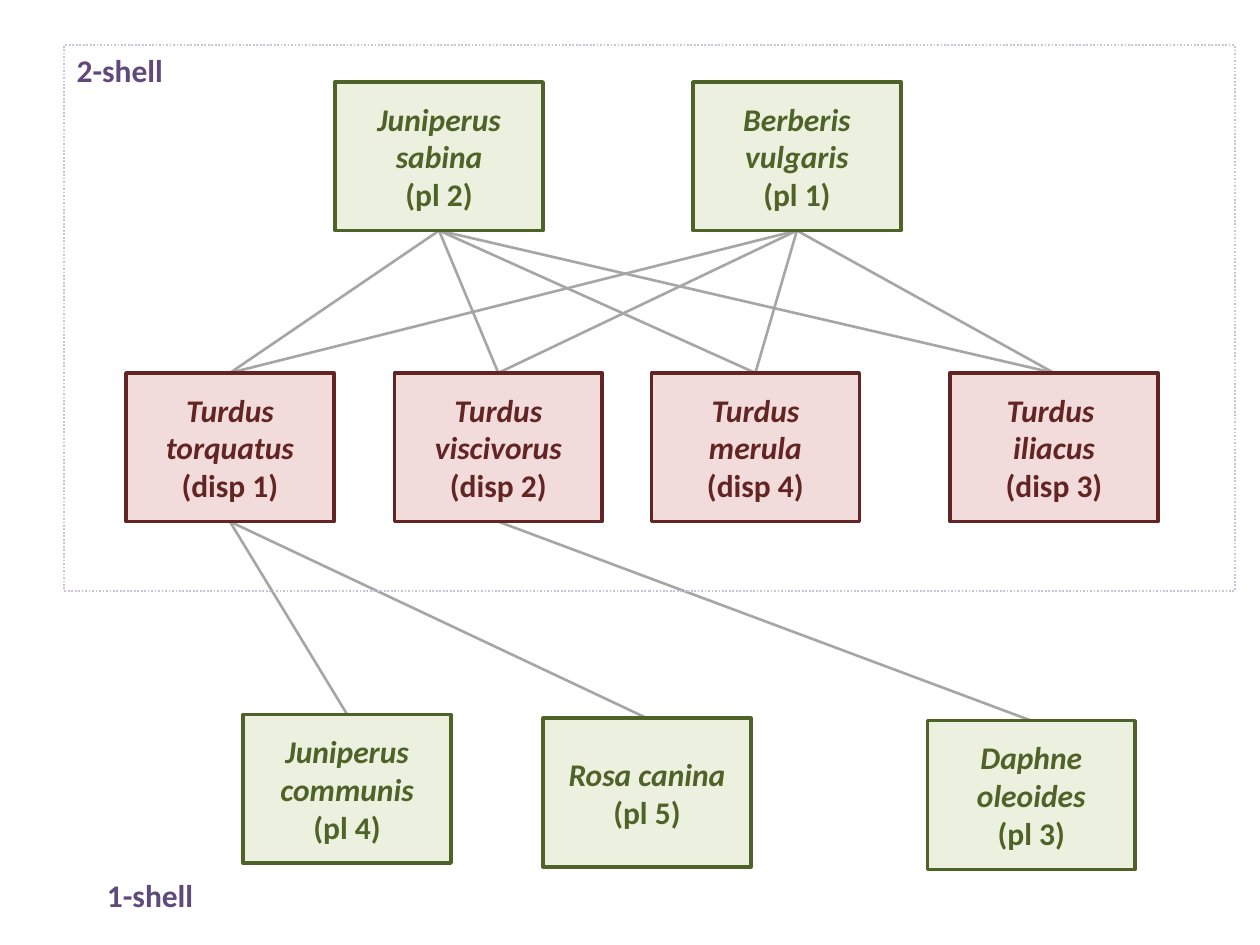
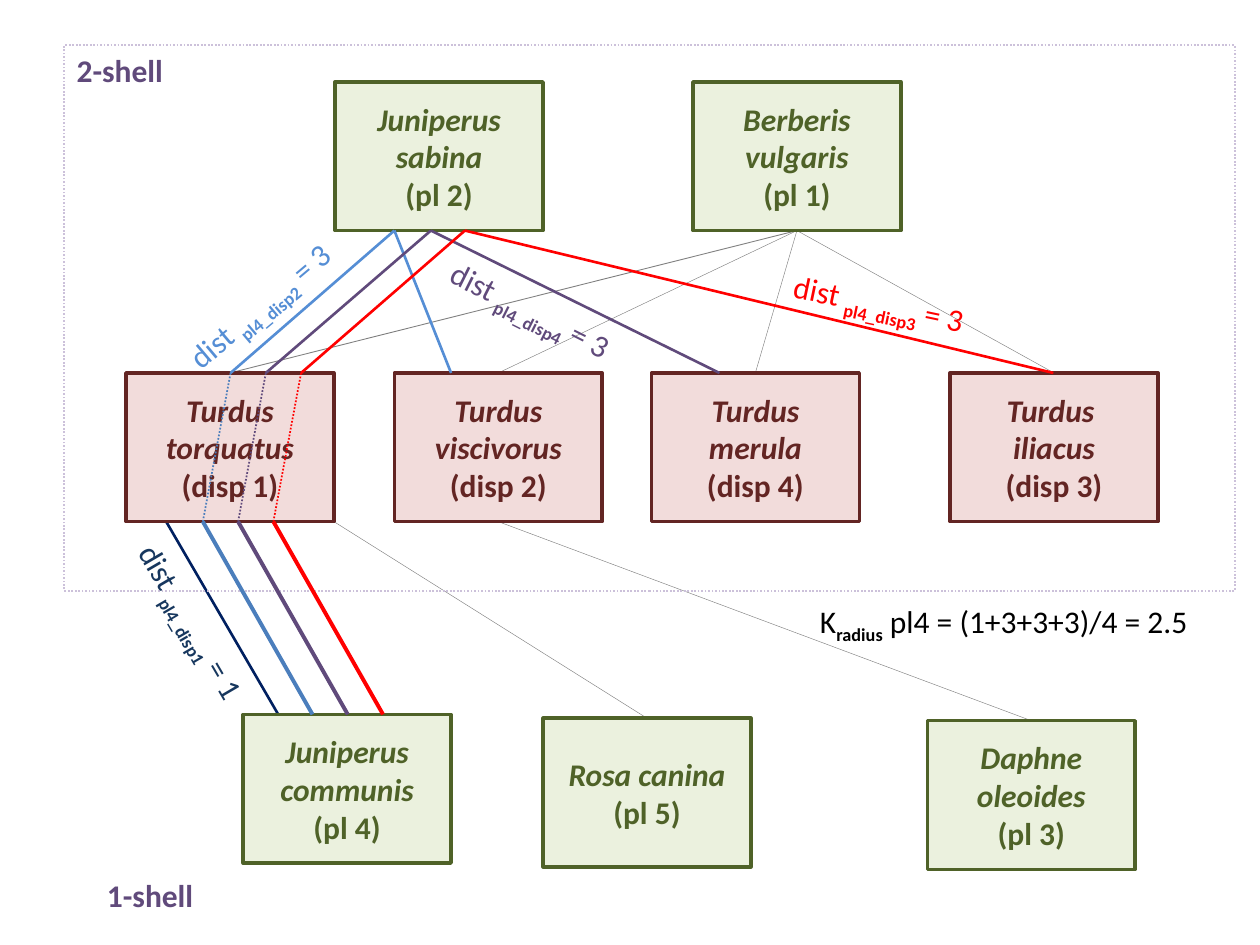
"""Two slides on a plant-disperser network: its shells, then its k-radius."""
from lxml import etree
from pptx import Presentation
from pptx.dml.color import RGBColor
from pptx.enum.dml import MSO_LINE
from pptx.enum.shapes import MSO_CONNECTOR, MSO_SHAPE
from pptx.enum.text import MSO_ANCHOR, MSO_AUTO_SIZE, PP_ALIGN
from pptx.oxml.ns import qn
from pptx.util import Inches, Pt

RECTANGLE = MSO_SHAPE.RECTANGLE
STRAIGHT = MSO_CONNECTOR.STRAIGHT
DOTTED = MSO_LINE.ROUND_DOT
CENTER, MIDDLE = PP_ALIGN.CENTER, MSO_ANCHOR.MIDDLE
FIT_SHAPE = MSO_AUTO_SIZE.SHAPE_TO_FIT_TEXT

PLANT_FILL, PLANT_INK = RGBColor(0xEB, 0xF1, 0xDE), RGBColor(0x4F, 0x62, 0x28)
BIRD_FILL, BIRD_INK = RGBColor(0xF2, 0xDC, 0xDB), RGBColor(0x63, 0x25, 0x23)
SHELL_LINE = RGBColor(0xCC, 0xC1, 0xDA)
PURPLE = RGBColor(0x60, 0x4A, 0x7B)
LINK_GREY = RGBColor(0xA6, 0xA6, 0xA6)
FAINT_GREY = RGBColor(0x80, 0x80, 0x80)
NAVY = RGBColor(0x00, 0x20, 0x60)
NAVY_TEXT = RGBColor(0x17, 0x37, 0x5E)
BLUE, STEEL = RGBColor(0x55, 0x8E, 0xD5), RGBColor(0x4B, 0x7E, 0xBC)
RED = RGBColor(0xFF, 0, 0)
BLACK = RGBColor(0, 0, 0)

FONT, SIZE = "Calibri", Pt(18)
BOX_W, BOX_H = 1.65, 1.18
UPPER, MIDDLE_ROW, LOWER = 0.65, 2.96, 5.67  # tops of the three rows
UPPER_END, MIDDLE_END = UPPER + BOX_H, MIDDLE_ROW + BOX_H
LABEL_H = 0.4

# code: (left, top, lines of the name); \v is a line break
SPECIES = {
    "pl 2": (2.66, UPPER, ("Juniperus", "sabina")),
    "pl 1": (5.5, UPPER, ("Berberis vulgaris",)),
    "disp 1": (1, MIDDLE_ROW, ("Turdus torquatus",)),
    "disp 2": (3.13, MIDDLE_ROW, ("Turdus viscivorus",)),
    "disp 4": (5.17, MIDDLE_ROW, ("Turdus merula",)),
    "disp 3": (7.54, MIDDLE_ROW, ("Turdus \viliacus",)),
    "pl 4": (1.93, LOWER, ("Juniperus communis",)),
    "pl 5": (4.31, LOWER + 0.03, ("Rosa canina",)),
    "pl 3": (7.36, LOWER + 0.05, ("Daphne oleoides",)),
}
DISPERSERS = [code for code in SPECIES if code.startswith("disp")]

# x at: pl 4, disp 1 bottom, disp 1 top, pl 2, last disperser
ROUTES = (
    (STEEL, BLUE, (2.48, 1.61, 1.83, 3.13, 3.58)),
    (PURPLE, PURPLE, (2.76, 1.89, 2.11, 3.42, 5.71)),
    (RED, RED, (3.04, 2.17, 2.39, 3.69, 8.36)),
)
ROUTE_LEVELS = (LOWER, MIDDLE_END, MIDDLE_ROW, UPPER_END, MIDDLE_ROW)

# disperser, distance, colour, left, top, width, rotation
DISTANCES = (
    (1, 1, NAVY_TEXT, 0.71, 4.78, 1.68, 59.7),
    (2, 3, BLUE, 1.26, 2.19, 1.68, 319.9),
    (4, 3, PURPLE, 3.41, 2.33, 1.9, 26.6),
    (3, 3, RED, 6.19, 2.23, 1.81, 11.9),
)


def style_font(font, colour):
    """Apply the shared typeface and size with the given colour."""
    font.name, font.size = FONT, SIZE
    font.color.rgb = colour


def draw_line(slide, start, end, colour, weight, dash=None):
    """Draw a straight line without a shadow."""
    line = slide.shapes.add_connector(
        STRAIGHT, *(Inches(value) for value in (*start, *end)))
    line.line.color.rgb = colour
    line.line.width = Pt(weight)
    if dash:
        line.line.dash_style = dash
    etree.SubElement(line._element.spPr, qn("a:effectLst"))


def draw_rectangle(slide, left, top, width, height, colour, weight):
    """Draw an outlined rectangle without a shadow."""
    box = slide.shapes.add_shape(
        RECTANGLE, Inches(left), Inches(top), Inches(width), Inches(height))
    box.shadow.inherit = False
    box.line.color.rgb = colour
    box.line.width = Pt(weight)
    return box


def draw_species(slide, code):
    """Draw the box of one species: italic name, upright code."""
    left, top, name = SPECIES[code]
    is_bird = code in DISPERSERS
    ink = BIRD_INK if is_bird else PLANT_INK
    box = draw_rectangle(slide, left, top, BOX_W, BOX_H, ink, 2)
    box.fill.solid()
    box.fill.fore_color.rgb = BIRD_FILL if is_bird else PLANT_FILL
    frame = box.text_frame
    frame.word_wrap, frame.vertical_anchor = True, MIDDLE
    frame.text = "\n".join((*name, f"({code})"))
    for index, paragraph in enumerate(frame.paragraphs):
        paragraph.alignment = CENTER
        style_font(paragraph.font, ink)
        paragraph.font.bold = True
        paragraph.font.italic = index < len(name)


def draw_label(slide, parts, colour, left, top, width, rotation=0, bold=False):
    """Write a label; where it has several parts, every second is subscript."""
    label = slide.shapes.add_textbox(
        Inches(left), Inches(top), Inches(width), Inches(LABEL_H))
    label.rotation = rotation
    frame = label.text_frame
    frame.word_wrap, frame.auto_size = True, FIT_SHAPE
    paragraph = frame.paragraphs[0]
    style_font(paragraph.font, colour)
    paragraph.font.bold = bold
    for index, part in enumerate(parts):
        run = paragraph.add_run()
        run.text = part
        if index % 2:
            run.font.bold = True
            run._r.get_or_add_rPr().set("baseline", "-25000")


def draw_link(slide, upper, lower, colour, weight, share=0.5):
    """Join the bottom of one species, at a share of its width, to the next."""
    left, top, _ = SPECIES[upper]
    end_left, end_top, _ = SPECIES[lower]
    draw_line(slide, (left + share * BOX_W, top + BOX_H),
              (end_left + BOX_W / 2, end_top), colour, weight)


def draw_network(slide):
    """Draw what both slides share: species, shell frame and shell names."""
    for code in SPECIES:
        draw_species(slide, code)
    shell = draw_rectangle(slide, 0.51, 0.36, 9.29, 4.33, SHELL_LINE, 1)
    shell.fill.background()
    shell.line.dash_style = DOTTED
    draw_label(slide, ("2-shell",), PURPLE, 0.51, 0.36, 1.73, bold=True)
    draw_label(slide, ("1-shell",), PURPLE, 0.75, 6.9, 1.08, bold=True)


def draw_route(slide, lower_colour, upper_colour, columns):
    """Draw one path from pl 4 through disp 1 and pl 2 to a disperser."""
    stops = list(zip(columns, ROUTE_LEVELS))
    strokes = ((lower_colour, 2.25, None), (lower_colour, 1, DOTTED),
               (upper_colour, 1.5, None), (upper_colour, 1.5, None))
    for start, end, stroke in zip(stops, stops[1:], strokes):
        draw_line(slide, start, end, *stroke)


def build_shells(slide):
    """Build the slide with every link of the network."""
    for plant in ("pl 2", "pl 1"):
        for disperser in DISPERSERS:
            draw_link(slide, plant, disperser, LINK_GREY, 1.5)
    for disperser, plant in (("disp 1", "pl 4"), ("disp 1", "pl 5"),
                             ("disp 2", "pl 3")):
        draw_link(slide, disperser, plant, LINK_GREY, 1.5)
    draw_network(slide)


def build_radius(slide):
    """Build the slide with the distances from pl 4 and its k-radius."""
    for disperser in DISPERSERS:
        weight = 0.5 if disperser == "disp 1" else 0.25
        draw_link(slide, "pl 1", disperser, FAINT_GREY, weight)
    draw_link(slide, "disp 1", "pl 5", FAINT_GREY, 0.25, share=1)
    draw_link(slide, "disp 2", "pl 3", FAINT_GREY, 0.25)
    draw_line(slide, (1.29, 4.09), (2.22, 5.69), NAVY, 1.5)
    draw_network(slide)
    for route in ROUTES:
        draw_route(slide, *route)
    for disperser, distance, *look in DISTANCES:
        parts = ("dist ", f"pl4_disp{disperser}", f" = {distance}")
        draw_label(slide, parts, *look)
    draw_label(slide, ("K", "radius", " pl4 = (1+3+3+3)/4 = 2.5"),
               BLACK, 6.41, 4.73, 4.33)


def main():
    """Build and save the deck."""
    deck = Presentation()
    deck.slide_width, deck.slide_height = Inches(10), Inches(7.5)
    blank = deck.slide_layouts[6]
    for build in (build_shells, build_radius):
        build(deck.slides.add_slide(blank))
    deck.save("out.pptx")


main()
